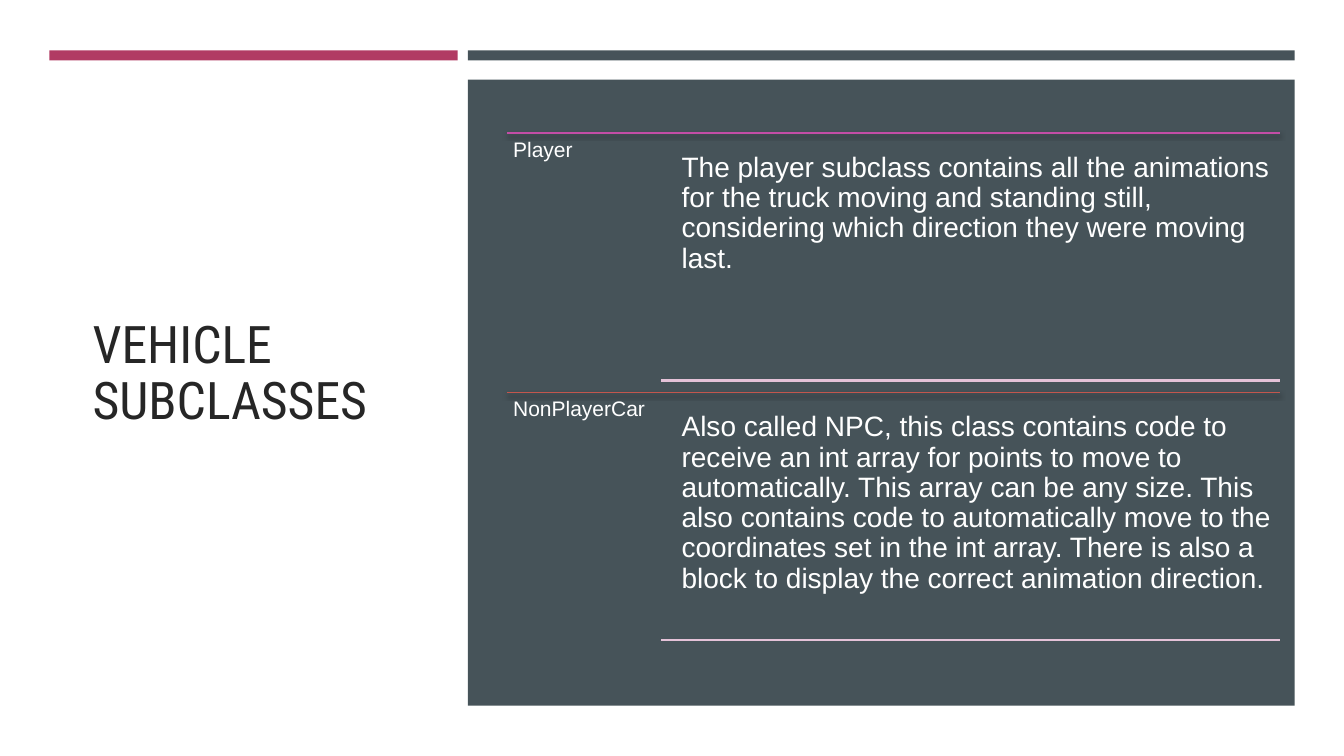
from lxml.etree import SubElement
from pptx import Presentation
from pptx.dml.color import RGBColor
from pptx.enum.shapes import MSO_CONNECTOR as Connector, MSO_SHAPE as Shape
from pptx.enum.text import MSO_ANCHOR as Anchor
from pptx.oxml.ns import qn
from pptx.util import Inches, Pt

WHITE = RGBColor(0xFF, 0xFF, 0xFF)
INK = RGBColor(0x26, 0x26, 0x26)
SLATE = RGBColor(0x46, 0x53, 0x59)
CRIMSON = RGBColor(0xB1, 0x3B, 0x63)
MAGENTA = RGBColor(0xC3, 0x4D, 0xA6)
RUST = RGBColor(0xC3, 0x56, 0x4D)
PALE_PINK = RGBColor(0xE4, 0xC2, 0xD8)

SUBCLASSES = [
    ("Player", MAGENTA,
     "The player subclass contains all the animations for the truck moving "
     "and standing still, considering which direction they were moving last."),
    ("NonPlayerCar", RUST,
     "Also called NPC, this class contains code to receive an int array for "
     "points to move to automatically. This array can be any size. This also "
     "contains code to automatically move to the coordinates set in the int "
     "array. There is also a block to display the correct animation direction."),
]


def grid(cells):
    """Length of a number of grid columns or rows, ten to the inch."""
    return Inches(cells / 10)


class SlideBuilder:
    """Draws on one slide; places are in grid columns and rows."""

    title_font = "Roboto Condensed"
    body_font = "Arial"
    line_spacing = 0.9

    def __init__(self, slide):
        self.shapes = slide.shapes
        slide.background.fill.solid()
        slide.background.fill.fore_color.rgb = WHITE

    def block(self, left, top, width, height, color):
        block = self.shapes.add_shape(
            Shape.RECTANGLE, *map(grid, (left, top, width, height)))
        block.shadow.inherit = False
        block.fill.solid()
        block.fill.fore_color.rgb = color
        block.line.fill.background()

    def rule(self, left, right, row, color, weight, shadow=False):
        rule = self.shapes.add_connector(
            Connector.STRAIGHT, grid(left), grid(row), grid(right), grid(row))
        rule.line.color.rgb = color
        rule.line.width = Pt(weight)
        effects = SubElement(rule._element.spPr, qn("a:effectLst"))
        if shadow:
            outer = SubElement(effects, qn("a:outerShdw"), blurRad=str(Pt(3)),
                               dist=str(Pt(2)), dir="5400000", rotWithShape="0")
            black = SubElement(outer, qn("a:srgbClr"), val="000000")
            SubElement(black, qn("a:alpha"), val="55000")

    def text(self, left, top, width, height, words, size, inset,
             font=body_font, color=WHITE, anchor=Anchor.TOP):
        frame = self.shapes.add_textbox(
            *map(grid, (left, top, width, height))).text_frame
        frame.word_wrap = True
        frame.vertical_anchor = anchor
        frame.margin_left = frame.margin_right = grid(inset)
        frame.margin_top = frame.margin_bottom = grid(inset)
        frame.text = words
        paragraph = frame.paragraphs[0]
        paragraph.line_spacing = self.line_spacing
        style = paragraph.runs[0].font
        style.name, style.size, style.color.rgb = font, Pt(size), color

    def subclass(self, top, name, accent, description):
        left, detail_left, right = 50.3, 65.6, 127
        self.rule(left, right, top, accent, 1, shadow=True)
        self.text(left, top, 15.3, 25.7, name, 15, 0.6)
        self.text(detail_left + 1.2, top + 1.2, 60.2, 23.4, description, 20, 0.8)
        self.rule(detail_left, right, top + 24.55, PALE_PINK, 1.75)


def main():
    deck = Presentation()
    deck.slide_width, deck.slide_height = Inches(13.33), Inches(7.5)
    builder = SlideBuilder(deck.slides.add_slide(deck.slide_layouts[6]))

    builder.text(8.2, 11.4, 33.4, 51.5, "VEHICLE SUBCLASSES", 37, 1,
                 SlideBuilder.title_font, INK, Anchor.MIDDLE)
    builder.block(4.9, 5, 40.5, 1, CRIMSON)
    panel_left, panel_width = 46.4, 82
    builder.block(panel_left, 5, panel_width, 1, SLATE)
    builder.block(panel_left, 7.9, panel_width, 62.1, SLATE)

    first_row, row_step = 13.2, 25.75
    for index, (name, accent, description) in enumerate(SUBCLASSES):
        builder.subclass(first_row + index * row_step, name, accent, description)

    deck.save("out.pptx")


if __name__ == "__main__":
    main()
